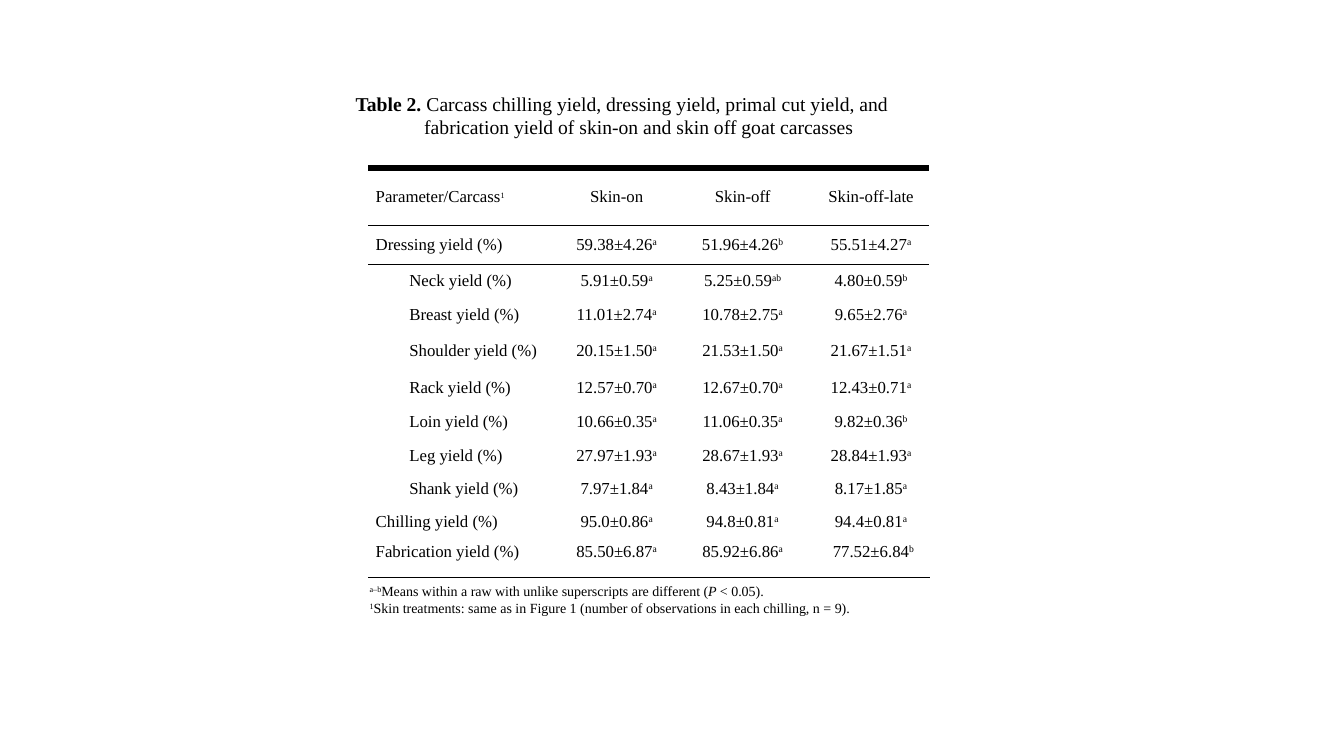
from pptx import Presentation
from pptx.dml.color import RGBColor
from pptx.enum.text import MSO_ANCHOR, PP_ALIGN
from pptx.oxml.ns import qn
from pptx.util import Pt
from lxml.etree import SubElement

BLACK = RGBColor(0x00, 0x00, 0x00)
FONT = "Times New Roman"
PLAIN_TABLE_STYLE = "{2D5ABB26-0587-4C30-8999-92F81FD0307C}"
TABLE_LEFT, TABLE_TOP = 263, 120
COLUMN_WIDTHS = [137.5, 80, 100, 83.5]
ROW_HEIGHTS = [41, 28, 24, 24, 27.5, 25, 24.5, 23.5, 23.5, 23.5, 19.5]
LABEL_INDENT = 24

# Each cell is a text and its superscript.
HEADER = [("Parameter/Carcass", "1"), ("Skin-on", ""), ("Skin-off", ""), ("Skin-off-late", "")]
YIELDS = [
    ("Dressing", ("59.38±4.26", "a"), ("51.96±4.26", "b"), ("55.51±4.27", "a")),
    ("Neck", ("5.91±0.59", "a"), ("5.25±0.59", "ab"), ("4.80±0.59", "b")),
    ("Breast", ("11.01±2.74", "a"), ("10.78±2.75", "a"), ("9.65±2.76", "a")),
    ("Shoulder", ("20.15±1.50", "a"), ("21.53±1.50", "a"), ("21.67±1.51", "a")),
    ("Rack", ("12.57±0.70", "a"), ("12.67±0.70", "a"), ("12.43±0.71", "a")),
    ("Loin", ("10.66±0.35", "a"), ("11.06±0.35", "a"), ("9.82±0.36", "b")),
    ("Leg", ("27.97±1.93", "a"), ("28.67±1.93", "a"), ("28.84±1.93", "a")),
    ("Shank", ("7.97±1.84", "a"), ("8.43±1.84", "a"), ("8.17±1.85", "a")),
    ("Chilling", ("95.0±0.86", "a"), ("94.8±0.81", "a"), ("94.4±0.81", "a")),
    ("Fabrication", ("85.50±6.87", "a"), ("85.92±6.86", "a"), ("77.52±6.84", "b")),
]
WHOLE_CARCASS = {"Dressing", "Chilling", "Fabrication"}


def write_runs(paragraph, size, runs, indent=0):
    """Add (text, style) runs; a style is "", "bold", "italic" or "super"."""
    paragraph._p.get_or_add_pPr().set("marL", str(Pt(indent)))
    paragraph.font.name = FONT
    paragraph.font.size = Pt(size)
    paragraph.font.color.rgb = BLACK
    for text, style in runs:
        run = paragraph.add_run()
        run.text = text
        if style == "bold":
            run.font.bold = True
        elif style == "italic":
            run.font.italic = True
        elif style == "super":
            run.font._element.set("baseline", "30000")


def add_border(cell, side, width):
    """Draw a black border; side is "lnT" or "lnB", top first."""
    properties = cell._tc.get_or_add_tcPr()
    line = properties.makeelement(qn(f"a:{side}"), {"w": str(Pt(width))})
    fill = SubElement(line, qn("a:solidFill"))
    SubElement(fill, qn("a:srgbClr"), val=str(BLACK))
    properties.insert(len(properties.findall(qn("a:lnT"))), line)


presentation = Presentation()
presentation.slide_width = Pt(960)
presentation.slide_height = Pt(540)
slide = presentation.slides.add_slide(presentation.slide_layouts[5])

# Title
title = slide.shapes.title
title.left, title.top, title.width, title.height = Pt(246.8), Pt(62), Pt(448), Pt(58)
title_frame = title.text_frame
title_frame.word_wrap = True
title_frame.vertical_anchor = MSO_ANCHOR.TOP
title_lines = [
    (0, [("Table 2.", "bold"), (" Carcass chilling yield, dressing yield, primal cut yield, and", "")]),
    (49, [("fabrication yield of skin-on and skin off goat carcasses", "")]),
]
for index, (indent, runs) in enumerate(title_lines):
    paragraph = title_frame.add_paragraph() if index else title_frame.paragraphs[0]
    paragraph.alignment = PP_ALIGN.JUSTIFY
    paragraph.space_before = Pt(0)
    write_runs(paragraph, 14, runs, indent)

# Tables: the yields, and the one-cell closing rule under them
table_width = sum(COLUMN_WIDTHS)
yield_table = slide.shapes.add_table(
    len(ROW_HEIGHTS), len(COLUMN_WIDTHS),
    Pt(TABLE_LEFT), Pt(TABLE_TOP), Pt(table_width), Pt(sum(ROW_HEIGHTS)),
).table
closing_table = slide.shapes.add_table(
    1, 1, Pt(TABLE_LEFT), Pt(412.6), Pt(table_width), Pt(44.6),
).table
for table in (yield_table, closing_table):
    table.first_row = False
    table.horz_banding = False
    table._tbl.tblPr.find(qn("a:tableStyleId")).text = PLAIN_TABLE_STYLE
    for cell in table.iter_cells():
        cell.fill.background()

closing_cell = closing_table.cell(0, 0)
add_border(closing_cell, "lnT", 1)

for column, width in zip(yield_table.columns, COLUMN_WIDTHS):
    column.width = Pt(width)
for row, height in zip(yield_table.rows, ROW_HEIGHTS):
    row.height = Pt(height)

table_rows = [HEADER] + [[(f"{name} yield (%)", ""), *values] for name, *values in YIELDS]
for row_index, row_cells in enumerate(table_rows):
    for column_index, (text, superscript) in enumerate(row_cells):
        cell = yield_table.cell(row_index, column_index)
        cell.vertical_anchor = MSO_ANCHOR.MIDDLE
        cell.margin_left = cell.margin_right = Pt(5.4)
        cell.margin_top = cell.margin_bottom = Pt(0)
        paragraph = cell.text_frame.paragraphs[0]
        is_part = row_index and YIELDS[row_index - 1][0] not in WHOLE_CARCASS
        indent = LABEL_INDENT if is_part and column_index == 0 else 0
        if column_index:
            paragraph.alignment = PP_ALIGN.CENTER
        runs = [(text, "")]
        if superscript:
            runs.append((superscript, "super"))
        write_runs(paragraph, 12, runs, indent)
        if row_index == 0:
            add_border(cell, "lnT", 4.5)
            add_border(cell, "lnB", 1)
        elif row_index == 1:
            add_border(cell, "lnT", 1)

# The header note mark is smaller, and the last value is set from the left.
yield_table.cell(0, 0).text_frame.paragraphs[0].runs[1].font.size = Pt(10)
last_value = yield_table.cell(len(YIELDS), 3).text_frame.paragraphs[0]
last_value.alignment = PP_ALIGN.LEFT
last_value._p.get_or_add_pPr().set("marL", str(Pt(9)))

# Footnotes
footnotes = slide.shapes.add_textbox(Pt(257), Pt(412.6), Pt(379.4), Pt(31.7))
footnote_frame = footnotes.text_frame
footnote_frame.word_wrap = True
footnote_lines = [
    [("a–b", "super"), ("Means within a raw with unlike superscripts are different (", ""),
     ("P ", "italic"), ("< 0.05).", "")],
    [("1", "super"),
     ("Skin treatments: same as in Figure 1 (number of observations in each chilling, n = 9).", "")],
]
for index, runs in enumerate(footnote_lines):
    paragraph = footnote_frame.add_paragraph() if index else footnote_frame.paragraphs[0]
    write_runs(paragraph, 10, runs)

presentation.save("out.pptx")
